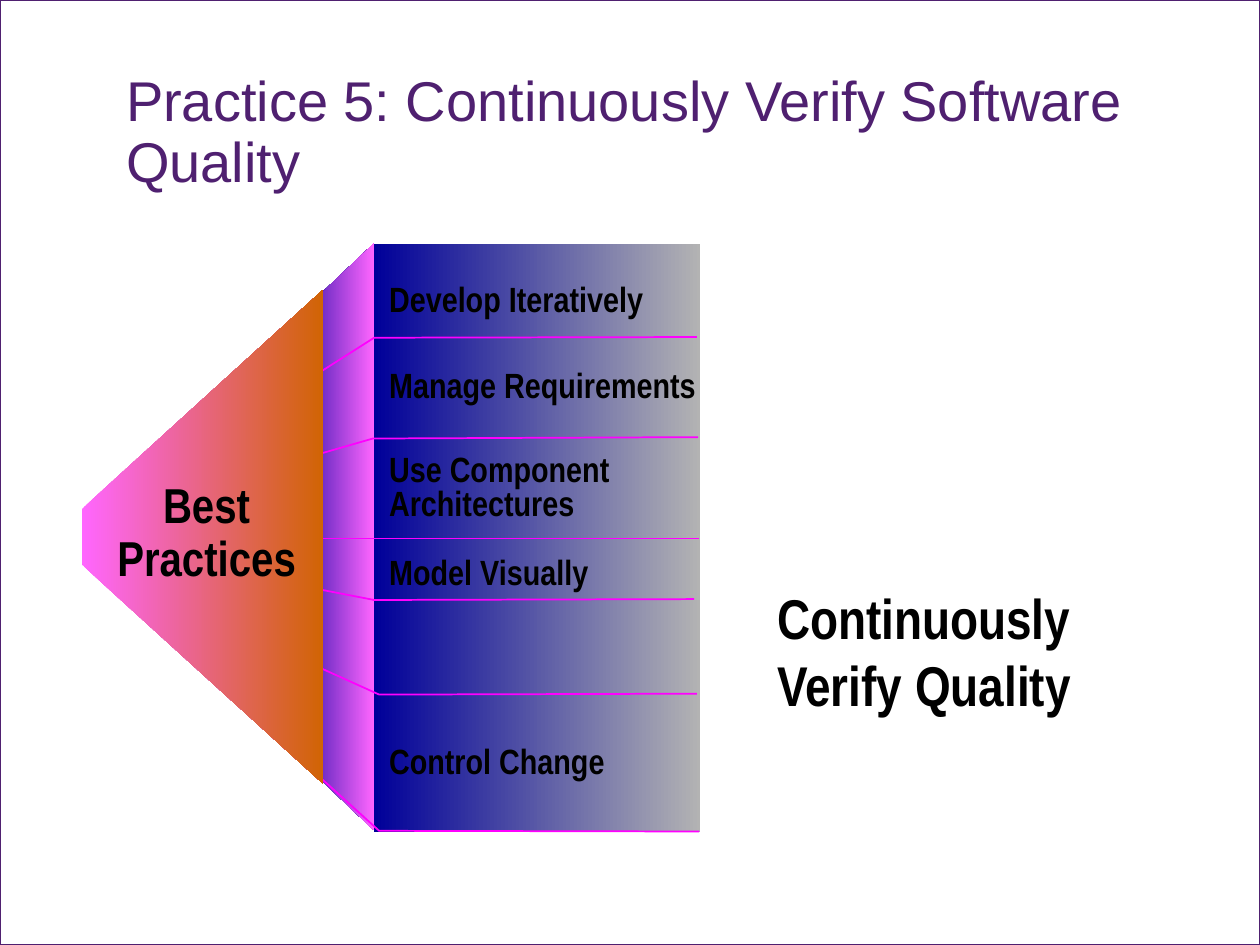
from lxml.etree import SubElement
from pptx import Presentation
from pptx.dml.color import RGBColor
from pptx.enum.shapes import MSO_CONNECTOR as CONNECTOR, MSO_SHAPE as SHAPE
from pptx.enum.text import MSO_ANCHOR as ANCHOR, PP_ALIGN as ALIGN
from pptx.oxml.ns import qn
from pptx.util import Pt

PURPLE, BLACK, MAGENTA = "4F2070", "000000", "FF00FF"
NAVY, GREY, PINK, ORANGE = "000099", "B3B3B3", "FF66FF", "D16404"
NARROW = "Arial Narrow"


def rgb(color):
    return RGBColor.from_string(color)


class SlideBuilder:
    """Holds the current slide and the style of its elements."""

    def __init__(self, slide):
        self.slide = slide
        self.shapes = slide.shapes

    def gradient(self, shape, left_color, right_color):
        """Fill from left to right, without an outline."""
        shape.shadow.inherit = False
        shape.line.fill.background()
        shape.fill.gradient()
        shape.fill.gradient_angle = 0
        for stop, color in zip(shape.fill.gradient_stops, (left_color, right_color)):
            stop.color.rgb = rgb(color)

    def rect(self, left, top, width, height):
        shape = self.shapes.add_shape(
            SHAPE.RECTANGLE, Pt(left), Pt(top), Pt(width), Pt(height))
        shape.shadow.inherit = False
        return shape

    def frame(self, width, height, color):
        border = self.rect(0, 0, width, height)
        border.fill.background()
        border.line.color.rgb = rgb(color)
        border.line.width = Pt(0.75)

    def outline(self, points, close):
        start, *rest = [(Pt(x), Pt(y)) for x, y in points]
        builder = self.shapes.build_freeform(*start)
        builder.add_line_segments(rest, close=close)
        return builder.convert_to_shape()

    def panel(self, points, left_color, right_color):
        self.gradient(self.outline(points, True), left_color, right_color)

    def bent_line(self, points):
        shape = self.outline(points, False)
        shape.shadow.inherit = False
        shape.fill.background()
        shape.line.color.rgb = rgb(MAGENTA)
        shape.line.width = Pt(1)

    def straight_line(self, x1, x2, y):
        line = self.shapes.add_connector(CONNECTOR.STRAIGHT, Pt(x1), Pt(y), Pt(x2), Pt(y))
        line.line.color.rgb = rgb(MAGENTA)
        line.line.width = Pt(0.25)
        SubElement(line._element.spPr, qn("a:effectLst"))

    def text(self, lines, left, top, width, height, size, font=NARROW, color=BLACK,
             bold=True, spacing=1.0, align=ALIGN.LEFT, anchor=ANCHOR.TOP,
             inset=(7.2, 3.6), shadow=False):
        frame = self.shapes.add_textbox(
            Pt(left), Pt(top), Pt(width), Pt(height)).text_frame
        frame.word_wrap = True
        frame.vertical_anchor = anchor
        frame.margin_left = frame.margin_right = Pt(inset[0])
        frame.margin_top = frame.margin_bottom = Pt(inset[1])
        frame.text = "\n".join(lines)
        for paragraph in frame.paragraphs:
            paragraph.alignment = align
            paragraph.line_spacing = spacing
            paragraph.font.name = font
            paragraph.font.size = Pt(size)
            paragraph.font.bold = bold
            paragraph.font.color.rgb = rgb(color)
            if shadow:
                self.text_shadow(paragraph.runs[0])

    def text_shadow(self, run):
        effects = SubElement(run.font._element, qn("a:effectLst"))
        outer = SubElement(effects, qn("a:outerShdw"), blurRad="0",
                           dist=str(Pt(2)), dir="2700000", algn="tl")
        SubElement(outer, qn("a:srgbClr"), val="C0C0C0")


def main():
    presentation = Presentation()
    presentation.slide_width, presentation.slide_height = Pt(720), Pt(540)
    page = SlideBuilder(presentation.slides.add_slide(presentation.slide_layouts[6]))

    page.frame(720, 540, PURPLE)
    page.text(["Practice 5: Continuously Verify Software Quality"], 72, 41.8, 600, 48,
              32, font="Arial", color=PURPLE, bold=False, spacing=0.9, inset=(0, 0))
    page.text(["Continuously Verify Quality"], 437, 329.8, 254, 84, 32)

    page.gradient(page.rect(213.8, 139.7, 186.5, 335.5), NAVY, GREY)
    page.panel([(213.8, 474.5), (213.8, 139), (159.8, 190.1), (159.8, 423.4)],
               NAVY, PINK)

    # right end, bend at the front edge, left end
    dividers = [
        [(398.2, 192.6), (213.8, 193), (168.5, 221.8)],
        [(398.9, 249.8), (213.1, 250.6), (168.5, 263.5)],
        [(396.7, 342.4), (213.8, 342.9), (168.5, 334.1)],
        [(399.6, 475.2), (216.7, 474.8), (167, 429.8)],
        [(398.2, 396.4), (216.7, 396.9), (168.5, 375.1)],
    ]
    for divider in dividers:
        page.bent_line(divider)
    page.straight_line(169.2, 399.6, 307.6)

    practices = [
        ("Develop Iteratively", 154.8, 1.0),
        ("Manage Requirements", 208.8, 0.8),
        ("Use Component Architectures", 257, 0.8),
        ("Model Visually", 311, 1.0),
        ("Control Change", 419, 1.0),
    ]
    for practice, top, spacing in practices:
        page.text([practice], 215.3, top, 201.6, 32, 20, spacing=spacing)

    page.panel([(184.6, 447.8), (184.6, 165.6), (46.8, 290.9), (46.8, 322.6)],
               PINK, ORANGE)
    page.text(["Best", "Practices"], 53, 271.4, 130, 67.7, 28, spacing=0.9,
              align=ALIGN.CENTER, anchor=ANCHOR.MIDDLE, shadow=True)

    presentation.save("out.pptx")


if __name__ == "__main__":
    main()
